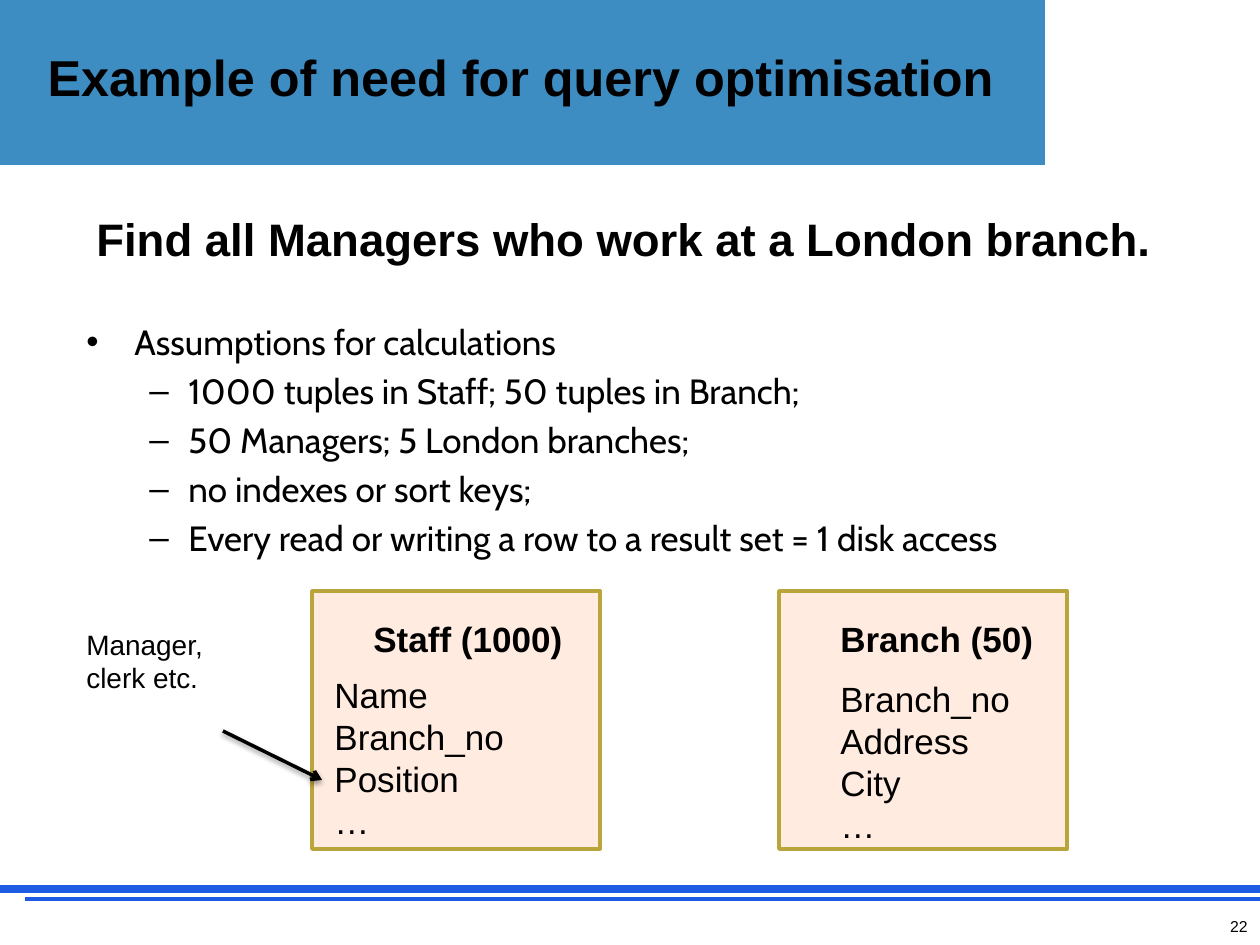
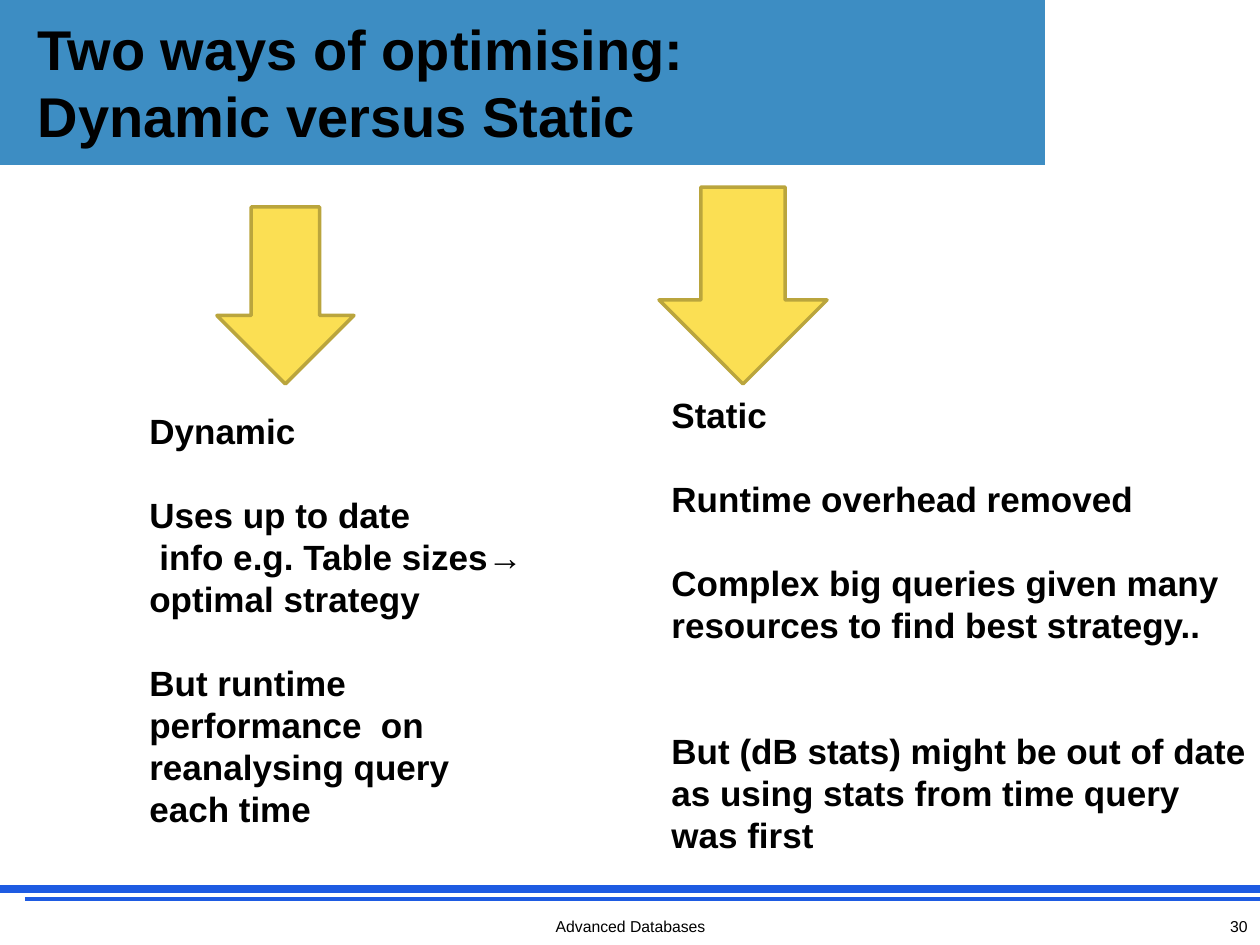
"""Builds two lecture slides on query optimisation."""
from lxml import etree
from pptx import Presentation, util as u
from pptx.dml.color import RGBColor
from pptx.enum import shapes, text
from pptx.oxml import ns

SCALE = u.Inches(1) / 126
COLOURS = {
    "band": "3D8DC3", "rule": "1E5BE2", "paper": "FFFFFF", "ink": "000000",
    "table": "FFEBE0", "arrow": "FBDF53", "edge": "BAA53D",
}
LINE_GAP = {"space_before": u.Pt(24)}
BULLET_GAP = {"space_before": u.Pt(4)}


def emu(*lengths):
    return [round(length * SCALE) for length in lengths]


def colour(name):
    return RGBColor.from_string(COLOURS[name])


def apply(target, values):
    for name, value in values.items():
        setattr(target, name, value)


def add_child(parent, tag, **attributes):
    return etree.SubElement(parent, ns.qn(tag), attributes)


class SlideWriter:
    def __init__(self):
        self.deck = Presentation()
        self.deck.slide_width, self.deck.slide_height = emu(1260, 945)
        self.page = None

    def start_page(self, title, place, size, number, footer=None):
        self.page = self.deck.slides.add_slide(self.deck.slide_layouts[5])
        self.shape("RECTANGLE", (0, 0, 1260, 165), "band")
        self.line((0, 889, 1260, 889), "rule", 4.5)
        self.line((25, 899, 1260, 899), "rule", 2.25)
        self.shape("RECTANGLE", (1047, 0, 213, 175), "paper", "paper")
        if footer:
            self.text((431, 911, 399, 34), [(footer, {"alignment": text.PP_ALIGN.CENTER})], 9)
        self.text((966, 911, 294, 34), [(number, {"alignment": text.PP_ALIGN.RIGHT})], 9)
        self.title(title, place, size)

    def title(self, words, place, size):
        box = self.page.shapes.title
        box.element.getparent().append(box.element)
        apply(box, dict(zip(("left", "top", "width", "height"), emu(*place))))
        apply(box.text_frame, {"vertical_anchor": text.MSO_ANCHOR.MIDDLE,
                               "auto_size": text.MSO_AUTO_SIZE.NONE})
        self.fill_para(box.text_frame.paragraphs[0], words,
                       {"alignment": text.PP_ALIGN.LEFT}, size, True)

    def shape(self, kind, place, fill, edge=None):
        box = self.page.shapes.add_shape(shapes.MSO_SHAPE[kind], *emu(*place))
        box.shadow.inherit = False
        box.fill.solid()
        box.fill.fore_color.rgb = colour(fill)
        if edge:
            box.line.color.rgb = colour(edge)
            box.line.width = u.Pt(2)
        else:
            box.line.fill.background()

    def line(self, ends, ink, width, arrow=False):
        connector = self.page.shapes.add_connector(shapes.MSO_CONNECTOR.STRAIGHT, *emu(*ends))
        connector.line.color.rgb = colour(ink)
        connector.line.width = u.Pt(width)
        properties = connector.element.spPr
        effects = add_child(properties, "a:effectLst")
        if arrow:
            add_child(properties.find(ns.qn("a:ln")), "a:tailEnd", type="arrow")
            shadow = add_child(effects, "a:outerShdw", blurRad=str(u.Pt(3.1)),
                               dist=str(u.Pt(1.6)), dir="5400000", rotWithShape="0")
            shade = add_child(shadow, "a:srgbClr", val=COLOURS["ink"])
            add_child(shade, "a:alpha", val="38000")

    def text(self, place, paras, size, bold=False, font="Arial"):
        box = self.page.shapes.add_textbox(*emu(*place))
        frame = box.text_frame
        frame.word_wrap = True
        for index, (words, layout) in enumerate(paras):
            para = frame.add_paragraph() if index else frame.paragraphs[0]
            self.fill_para(para, words, layout, size, bold, font)
        return frame

    def fill_para(self, para, words, layout, size, bold=False, font="Arial"):
        para.text = words
        apply(para, layout)
        for span in para.runs:
            apply(span.font, {"name": font, "size": u.Pt(size), "bold": bold})
            span.font.color.rgb = colour("ink")

    def indent(self, para, margin, first, bullet=None):
        properties = para._p.get_or_add_pPr()
        left, hang = emu(margin, first)
        properties.set("marL", str(left))
        properties.set("indent", str(hang))
        if bullet:
            add_child(properties, "a:buFont", typeface="Arial")
            add_child(properties, "a:buChar", char=bullet)

    def bullets(self, place, items, size, font):
        paras = [(words, {"level": level, **BULLET_GAP}) for level, words in items]
        frame = self.text(place, paras, size, font=font)
        for para in frame.paragraphs:
            self.indent(para, *((102, -39, "–") if para.level else (48, -48, "•")))

    def relation(self, left, name, columns, columns_left, columns_top):
        self.shape("RECTANGLE", (left, 591, 288, 258), "table", "edge")
        self.text((left + 49, 611, 239, 55), [(name, {})], 20, True)
        self.text((columns_left, columns_top, 220, 183),
                  [(column, {}) for column in columns], 20)


def build_example(writer):
    writer.start_page("Example of need for query optimisation", (35, 8, 1003, 136), 28.8, "22")
    writer.text((84, 205, 1122, 138),
                [("Find all Managers who work at a London branch.",
                  {"alignment": text.PP_ALIGN.JUSTIFY, "space_before": u.Pt(6)})], 26, True)
    writer.bullets((74, 314, 1132, 357), [
        (0, "Assumptions for calculations"),
        (1, "1000 tuples in Staff; 50 tuples in Branch;"),
        (1, "50 Managers; 5 London branches;"),
        (1, "no indexes or sort keys;"),
        (1, "Every read or writing a row to a result set = 1 disk access"),
    ], 20, "Cabin")
    writer.relation(312, "Staff (1000)", ["Name", "Branch_no", "Position", "…"], 322, 667)
    writer.relation(779, "Branch (50)", ["Branch_no", "Address", "City", "…"], 828, 671)
    writer.text((74, 621, 189, 81), [("Manager, clerk etc.", {})], 16)
    writer.line((223, 731, 322, 780), "ink", 2, arrow=True)


def build_comparison(writer):
    writer.start_page("Two ways of optimising:\vDynamic versus Static", (25, 8, 953, 147), 32,
                      "30", "Advanced Databases")
    writer.shape("DOWN_ARROW", (217, 207, 137, 177), "arrow", "edge")
    writer.shape("DOWN_ARROW", (659, 187, 168, 197), "arrow", "edge")
    dynamic = writer.text((137, 403, 403, 530), [
        ("Dynamic", {}),
        ("Uses up to date", LINE_GAP),
        ("info e.g. Table sizes→ optimal strategy", {}),
        ("But runtime performance  on reanalysing query each time", LINE_GAP),
    ], 20, True)
    writer.indent(dynamic.paragraphs[2], 0, 10)
    writer.text((659, 387, 601, 540), [
        ("Static", {}),
        ("Runtime overhead removed", LINE_GAP),
        ("Complex big queries given many resources to find best strategy..", LINE_GAP),
        ("But (dB stats) might be out of date as using stats from time query was first",
         {"space_before": u.Pt(48)}),
    ], 20, True)


def main():
    writer = SlideWriter()
    build_example(writer)
    build_comparison(writer)
    writer.deck.save("out.pptx")


if __name__ == "__main__":
    main()
